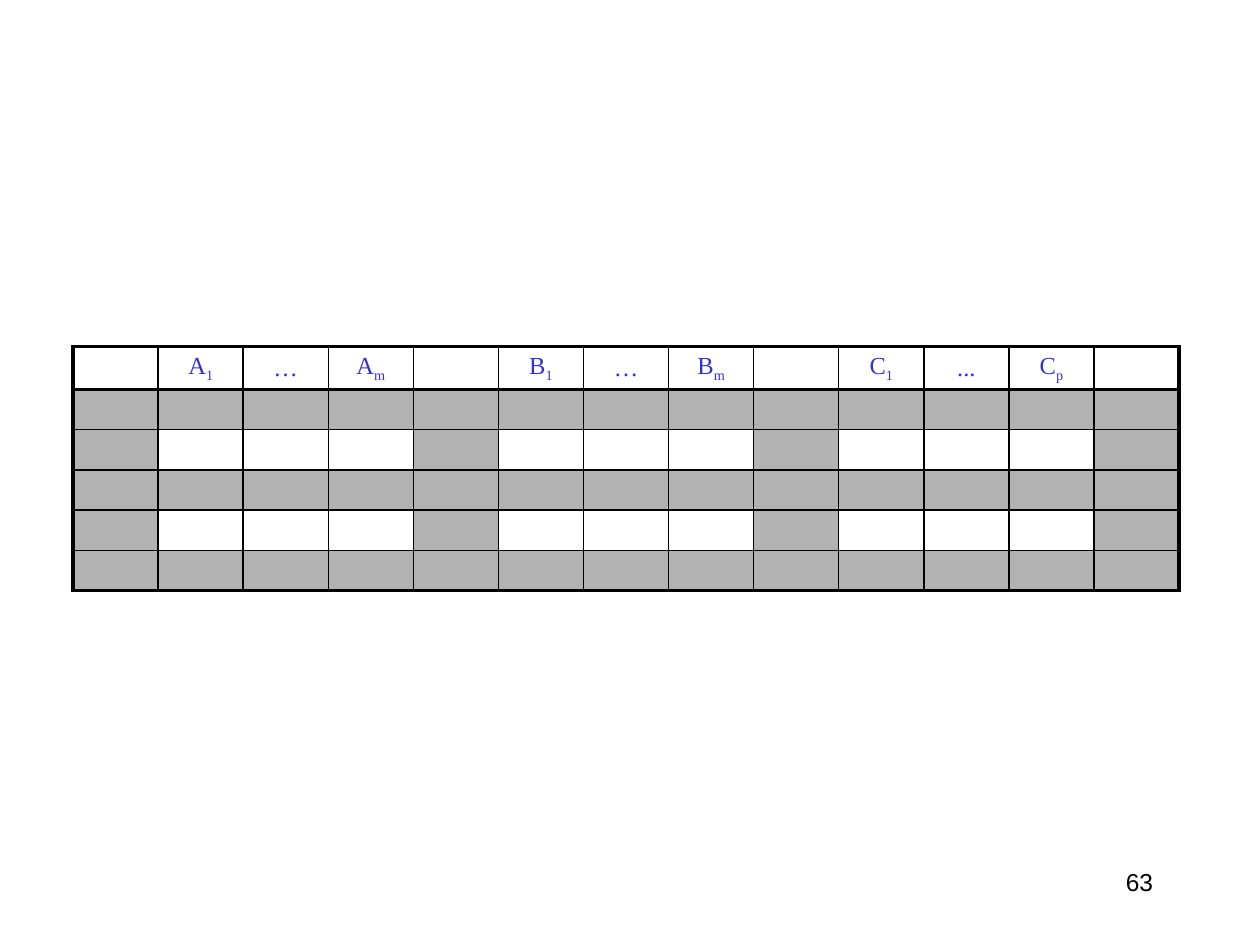
"""Build a slide with a grid of three column groups separated by grey bands."""
from pptx import Presentation
from pptx.dml.color import RGBColor
from pptx.enum.text import MSO_ANCHOR, PP_ALIGN
from pptx.oxml.ns import qn
from pptx.util import Inches, Pt
from lxml.etree import SubElement

BLACK = RGBColor(0x00, 0x00, 0x00)
BLUE = RGBColor(0x33, 0x33, 0xCC)
GREY = RGBColor(0xB2, 0xB2, 0xB2)

PAGE_NUMBER = "63"
HEADERS = [
    ("", ""), ("A", "1"), ("…", ""), ("A", "m"),
    ("", ""), ("B", "1"), ("…", ""), ("B", "m"),
    ("", ""), ("C", "1"), ("...", ""), ("C", "p"),
    ("", ""),
]
ROWS, COLUMNS = 6, len(HEADERS)
GROUP_STEP = 4
LEFT, TOP, WIDTH = 0.58, 2.75, 8.78
HEADER_HEIGHT, ROW_HEIGHT = 0.34, 0.32
THIN, THICK = 1, 2.25


def add_span(para, text, font_name, color):
    span = para.add_run()
    span.text = text
    span.font.name = font_name
    span.font.size = Pt(14)
    span.font.color.rgb = color
    return span


def add_border(cell, side, width):
    line = SubElement(cell._tc.get_or_add_tcPr(), qn(f"a:{side}"), w=str(Pt(width)))
    fill = SubElement(line, qn("a:solidFill"))
    SubElement(fill, qn("a:srgbClr"), val=str(BLACK))


def style_cell(cell, row, column):
    cell.margin_top = cell.margin_bottom = 0
    cell.vertical_anchor = MSO_ANCHOR.MIDDLE
    thick_sides = {
        "lnL": column == 0,
        "lnR": column == COLUMNS - 1,
        "lnT": row in (0, 1),
        "lnB": row in (0, ROWS - 1),
    }
    for side, thick in thick_sides.items():
        add_border(cell, side, THICK if thick else THIN)
    if row % 2 or (row and column % GROUP_STEP == 0):
        cell.fill.solid()
        cell.fill.fore_color.rgb = GREY
    else:
        cell.fill.background()


def write_header(cell, label, subscript):
    para = cell.text_frame.paragraphs[0]
    para.alignment = PP_ALIGN.CENTER
    if label:
        add_span(para, label, "Times New Roman", BLUE)
    if subscript:
        span = add_span(para, subscript, "Times New Roman", BLUE)
        span.font._element.set("baseline", "-25000")


def add_grid(page):
    height = HEADER_HEIGHT + (ROWS - 1) * ROW_HEIGHT
    table = page.shapes.add_table(
        ROWS, COLUMNS, Inches(LEFT), Inches(TOP), Inches(WIDTH), Inches(height)
    ).table
    table.first_row = table.horz_banding = False
    for column in table.columns:
        column.width = Inches(WIDTH / COLUMNS)
    for index, row in enumerate(table.rows):
        row.height = Inches(ROW_HEIGHT if index else HEADER_HEIGHT)
        for column, cell in enumerate(row.cells):
            style_cell(cell, index, column)
    for column, header in enumerate(HEADERS):
        write_header(table.cell(0, column), *header)


def add_page_number(page):
    box = page.shapes.add_textbox(Inches(7.17), Inches(6.83), Inches(2.08), Inches(0.5))
    box.text_frame.word_wrap = True
    para = box.text_frame.paragraphs[0]
    para.alignment = PP_ALIGN.RIGHT
    add_span(para, PAGE_NUMBER, "Arial", BLACK)


def main():
    deck = Presentation()
    deck.slide_width, deck.slide_height = Inches(10), Inches(7.5)
    page = deck.slides.add_slide(deck.slide_layouts[6])
    add_page_number(page)
    add_grid(page)
    deck.save("out.pptx")


if __name__ == "__main__":
    main()
